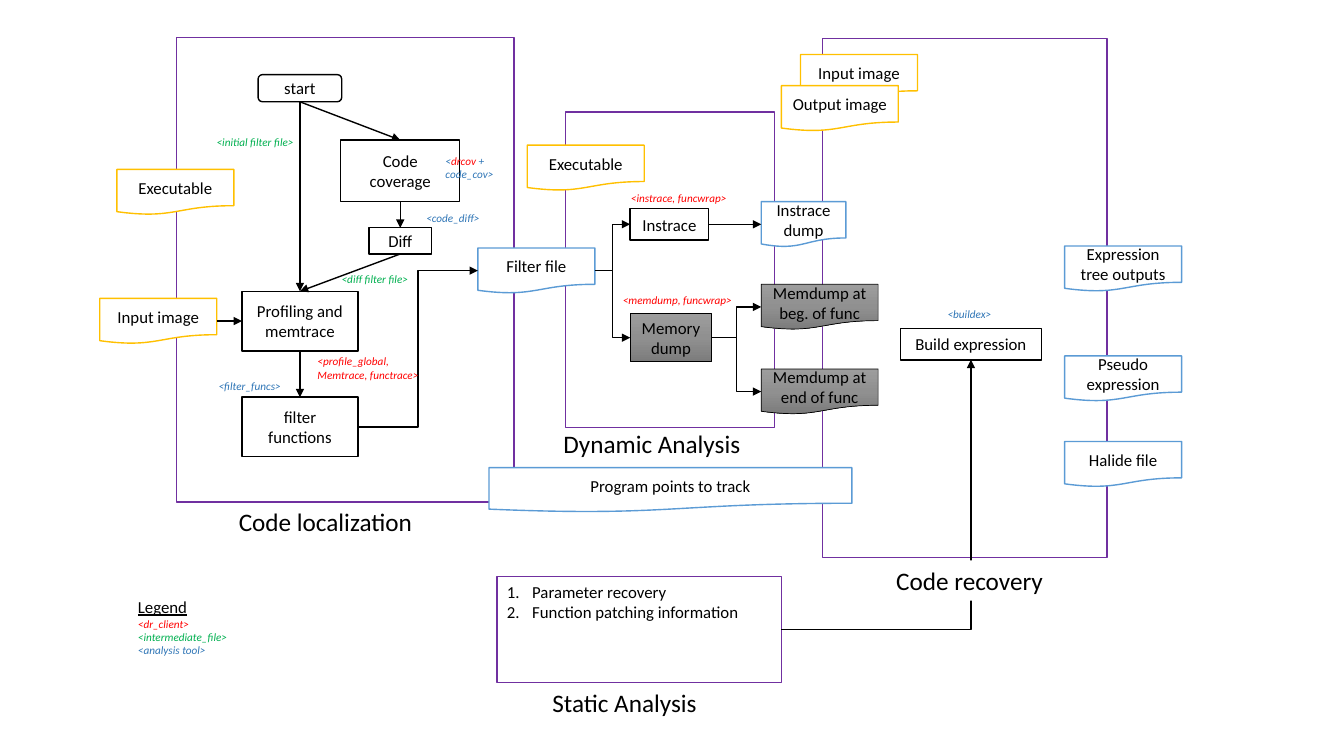
from copy import deepcopy
from dataclasses import dataclass
from typing import Any, NamedTuple

from lxml import etree
from pptx import Presentation
from pptx import util as u
from pptx.dml.color import RGBColor
from pptx.enum import shapes, text
from pptx.oxml.ns import qn

COLS, ROWS = 133.3, 75  # grid of the slide; one cell is a tenth of an inch
CELL = u.Inches(0.1)
FONT = "Calibri"
BLACK, WHITE, PURPLE = "000000", "FFFFFF", "7030A0"
OUTPUT, INPUT = "5B9BD5", "FFC000"
RED, GREEN, BLUE = "FF0000", "00B050", "2E75B6"
GREYS = ("9D9D9D", "909090", "7C7C7C")
DOC_W, DOC_H = 11.6, 4.5
TOP, LEFT, BOTTOM, RIGHT = range(4)

KIND = shapes.MSO_SHAPE
FRAME = KIND.RECTANGLE
ROUND = KIND.FLOWCHART_ALTERNATE_PROCESS
STEP = KIND.FLOWCHART_PROCESS
DOC = KIND.FLOWCHART_DOCUMENT
STRAIGHT = shapes.MSO_CONNECTOR.STRAIGHT
ELBOW = shapes.MSO_CONNECTOR.ELBOW


@dataclass
class Node:
    name: str
    kind: Any
    col: float
    row: float
    cols: float = DOC_W
    rows: float = DOC_H
    words: str = ""
    line: str = BLACK
    shaded: bool = False


class Link(NamedTuple):
    start: str
    start_side: int
    end: str
    end_side: int
    kind: Any = STRAIGHT
    preset: str = ""


class Run(NamedTuple):
    words: str
    color: str = BLACK
    size: float = 8
    italic: bool = True
    underline: bool = False


@dataclass
class Label:
    col: float
    row: float
    cols: float
    rows: float
    paragraphs: list[list[Run]]
    fill: str = ""
    wrap: bool = False


NODES = [
    Node("recovery", FRAME, 81.6, 3.8, 28.2, 51.5, line=PURPLE),
    Node("dynamic", FRAME, 56.1, 11.1, 20.7, 31.3, line=PURPLE),
    Node("localization", FRAME, 17.5, 3.7, 33.5, 46.1, line=PURPLE),
    Node("static", FRAME, 49.3, 57.2, 28.2, 10.5, line=PURPLE),
    Node("start", ROUND, 25.6, 7.4, 8.3, 2.7, "start"),
    Node("coverage", STEP, 33.8, 13.9, 11.8, 6.1, "Code coverage"),
    Node("diff", STEP, 36.6, 22.6, 6.2, 2.6, "Diff"),
    Node("profiling", STEP, 24, 28.9, 11.5, 5.9, "Profiling and memtrace"),
    Node("filter", STEP, 24, 39.4, 11.5, 5.9, "filter functions"),
    Node("filter file", DOC, 47.4, 24.6, words="Filter file", line=OUTPUT),
    Node("instrace", STEP, 62.5, 20.7, 7.8, 3.1, "Instrace"),
    Node("memory", STEP, 62.5, 31.1, 8.1, 4.8, "Memory dump", shaded=True),
    Node("instrace dump", DOC, 75.5, 20, 8.4, words="Instrace dump", line=OUTPUT),
    Node("memdump beg", DOC, 75.5, 28.2, words="Memdump at beg. of func", shaded=True),
    Node("memdump end", DOC, 75.5, 36.6, words="Memdump at end of func", shaded=True),
    Node("input", DOC, 9.9, 29.6, words="Input image", line=INPUT),
    Node("recovery input", DOC, 79.4, 5.4, words="Input image", line=INPUT),
    Node("recovery output", DOC, 77.5, 8.5, words="Output image", line=INPUT),
    Node("points", DOC, 48.5, 46.4, 36, 4.4, "Program points to track", OUTPUT),
    Node("build", STEP, 89.3, 32.6, 14, 3.1, "Build expression"),
    Node("tree", DOC, 105.6, 24.4, words="Expression tree outputs", line=OUTPUT),
    Node("pseudo", DOC, 105.6, 35.3, words="Pseudo expression", line=OUTPUT),
    Node("halide", DOC, 105.6, 43.8, words="Halide file", line=OUTPUT),
    Node("executable", DOC, 11.6, 16.8, words="Executable", line=INPUT),
    Node("dynamic executable", DOC, 52.3, 14.4, words="Executable", line=INPUT),
]

LINKS = [
    Link("start", BOTTOM, "coverage", TOP),
    Link("coverage", BOTTOM, "diff", TOP),
    Link("start", BOTTOM, "profiling", TOP),
    Link("diff", BOTTOM, "profiling", TOP),
    Link("profiling", BOTTOM, "filter", TOP),
    Link("input", RIGHT, "profiling", LEFT),
    Link("instrace", RIGHT, "instrace dump", LEFT, ELBOW),
    Link("memory", RIGHT, "memdump beg", LEFT, ELBOW),
    Link("memory", RIGHT, "memdump end", LEFT, ELBOW),
    Link("filter", RIGHT, "filter file", LEFT, ELBOW),
    Link("filter file", RIGHT, "memory", LEFT, ELBOW),
    Link("filter file", RIGHT, "instrace", LEFT, ELBOW),
    Link("static", RIGHT, "build", BOTTOM, ELBOW, "bentConnector2"),
]


def title(words: str) -> list[list[Run]]:
    return [[Run(words, size=18, italic=False)]]


def note(color: str, *lines: str) -> list[list[Run]]:
    return [[Run(line, color)] for line in lines]


LABELS = [
    Label(22.7, 49.7, 22.3, 4, title("Code localization")),
    Label(54.9, 42, 23.1, 4, title("Dynamic Analysis")),
    Label(53.8, 67.7, 19, 4, title("Static Analysis")),
    Label(87.9, 55.6, 19.2, 4, title("Code recovery"), fill=WHITE),
    Label(20.5, 12.9, 9.8, 2.4, note(GREEN, "<initial filter file>")),
    Label(43.2, 14.8, 6.9, 3.7, [[Run("<", BLUE), Run("drcov ", RED), Run("+", BLUE)],
                                 [Run("code_cov>", BLUE)]]),
    Label(41.3, 20.5, 7.4, 2.4, note(BLUE, "<code_diff>")),
    Label(32.9, 26.5, 8.8, 2.4, note(GREEN, "<diff filter file>")),
    Label(30.5, 34.7, 12.2, 3.7, note(RED, "<profile_global,", "Memtrace, functrace>")),
    Label(20.7, 37.1, 8.3, 2.4, note(BLUE, "<filter_funcs>")),
    Label(61.6, 18.5, 11.6, 2.4, note(RED, "<instrace, funcwrap>")),
    Label(60.8, 28.6, 13, 2.4, note(RED, "<memdump, funcwrap>")),
    Label(93, 30, 6.4, 2.4, note(BLUE, "<buildex>")),
    Label(12.7, 58.7, 22, 10.1,
          [[Run("Legend", size=12, italic=False, underline=True)],
           *note(RED, "<dr_client>"), *note(GREEN, "<intermediate_file>"),
           *note(BLUE, "<analysis tool>")], wrap=True),
]


def rgb(color: str) -> RGBColor:
    return RGBColor.from_string(color)


def box(item: Node | Label) -> list[int]:
    return [round(n * CELL) for n in (item.col, item.row, item.cols, item.rows)]


def apply(obj: Any, values: dict[str, Any]) -> None:
    for name, value in values.items():
        setattr(obj, name, value)


def add_run(p: Any, run: Run) -> None:
    r = p.add_run()
    r.text = run.words
    apply(r.font, {"name": FONT, "size": u.Pt(run.size), "italic": run.italic,
                   "underline": run.underline})
    r.font.color.rgb = rgb(run.color)


def shade(sp: Any) -> None:
    """Fill with the grey gradient, light at the top."""
    sp.fill.gradient()
    sp.fill.gradient_angle = 270
    first = sp._element.spPr.find(".//" + qn("a:gs"))
    first.addnext(deepcopy(first))
    for i, (stop, grey) in enumerate(zip(sp.fill.gradient_stops, GREYS)):
        stop.position = i / 2
        stop.color.rgb = rgb(grey)


def add_node(slide: Any, node: Node) -> Any:
    sp = slide.shapes.add_shape(node.kind, *box(node))
    sp.shadow.inherit = False
    if node.shaded:
        shade(sp)
    else:
        sp.fill.solid()
        sp.fill.fore_color.rgb = rgb(WHITE)
    sp.line.color.rgb = rgb(node.line)
    sp.line.width = u.Pt(0.5 if node.shaded else 1)
    if node.words:
        tf = sp.text_frame
        apply(tf, {"word_wrap": True, "vertical_anchor": text.MSO_ANCHOR.MIDDLE})
        tf.paragraphs[0].alignment = text.PP_ALIGN.CENTER
        add_run(tf.paragraphs[0], Run(node.words, size=12, italic=False))
    return sp


def add_numbered(sp: Any, lines: list[str]) -> None:
    tf = sp.text_frame
    apply(tf, {"word_wrap": True, "vertical_anchor": text.MSO_ANCHOR.TOP})
    for i, line in enumerate(lines):
        p = tf.add_paragraph() if i else tf.paragraphs[0]
        p.alignment = text.PP_ALIGN.LEFT
        pPr = p._p.get_or_add_pPr()
        pPr.set("marL", str(u.Inches(0.25)))
        pPr.set("indent", str(-u.Inches(0.25)))
        etree.SubElement(pPr, qn("a:buAutoNum"), type="arabicPeriod")
        add_run(p, Run(line, size=12, italic=False))


def add_link(slide: Any, link: Link, drawn: dict[str, Any]) -> None:
    c = slide.shapes.add_connector(link.kind, 0, 0, 0, 0)
    c.begin_connect(drawn[link.start], link.start_side)
    c.end_connect(drawn[link.end], link.end_side)
    c.line.color.rgb = rgb(BLACK)
    c.line.width = u.Pt(1)
    spPr = c._element.spPr
    if link.preset:
        spPr.find(qn("a:prstGeom")).set("prst", link.preset)
    etree.SubElement(spPr.find(qn("a:ln")), qn("a:tailEnd"), type="triangle")
    etree.SubElement(spPr, qn("a:effectLst"))


def add_label(slide: Any, label: Label) -> None:
    sp = slide.shapes.add_textbox(*box(label))
    if label.fill:
        sp.fill.solid()
        sp.fill.fore_color.rgb = rgb(label.fill)
    tf = sp.text_frame
    apply(tf, {"word_wrap": label.wrap, "auto_size": text.MSO_AUTO_SIZE.SHAPE_TO_FIT_TEXT})
    for i, runs in enumerate(label.paragraphs):
        p = tf.add_paragraph() if i else tf.paragraphs[0]
        for run in runs:
            add_run(p, run)


def main() -> None:
    prs = Presentation()
    apply(prs, {"slide_width": round(COLS * CELL), "slide_height": ROWS * CELL})
    slide = prs.slides.add_slide(prs.slide_layouts[6])
    drawn = {node.name: add_node(slide, node) for node in NODES}
    add_numbered(drawn["static"], ["Parameter recovery", "Function patching information"])
    for link in LINKS:
        add_link(slide, link, drawn)
    for label in LABELS:
        add_label(slide, label)
    prs.save("out.pptx")


if __name__ == "__main__":
    main()
